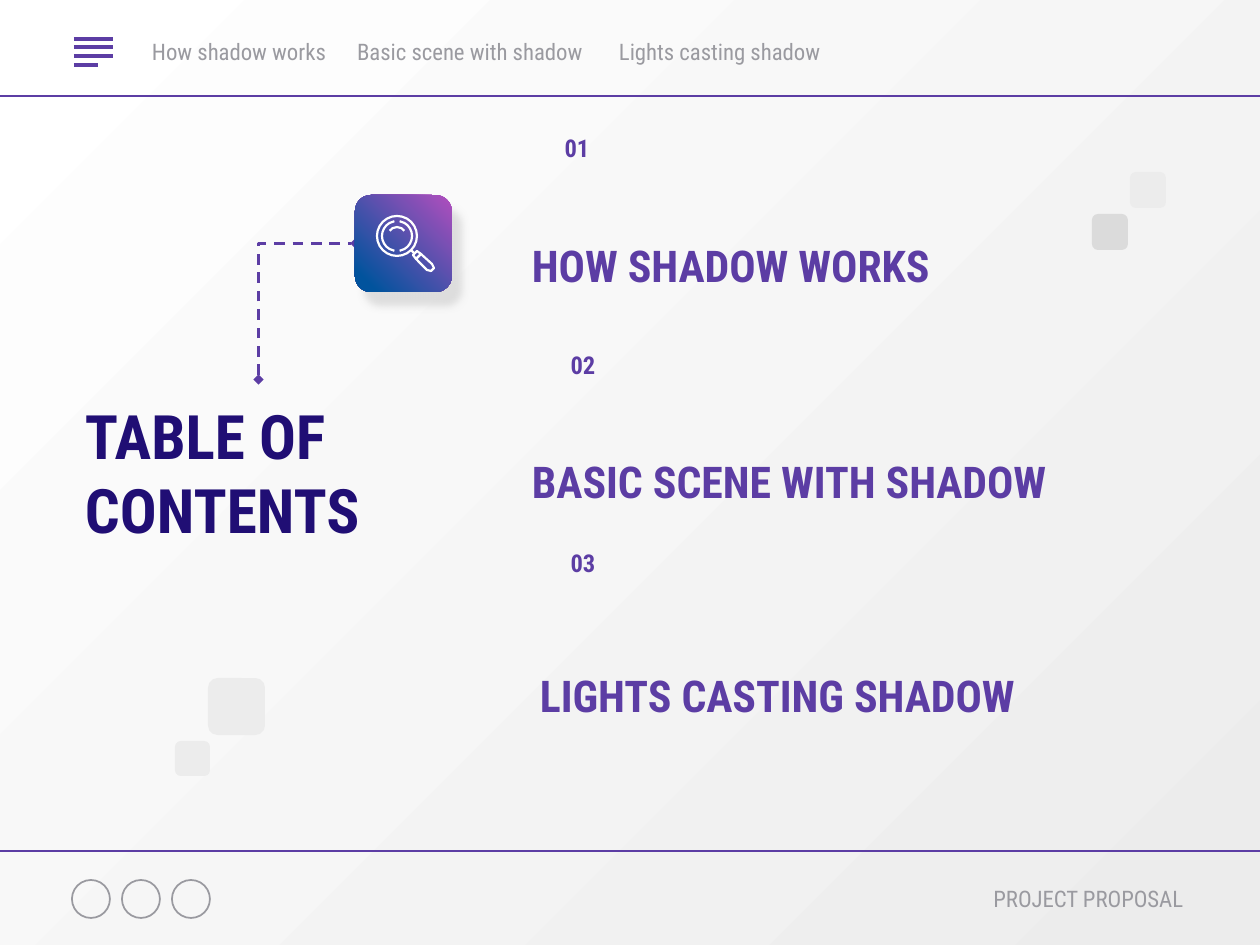
from lxml import etree
from pptx import Presentation
from pptx.dml.color import RGBColor
from pptx.enum.dml import MSO_LINE
from pptx.enum.shapes import MSO_CONNECTOR, MSO_SHAPE
from pptx.enum.text import MSO_ANCHOR, PP_ALIGN
from pptx.oxml.ns import qn
from pptx.util import Emu, Pt

SCALE = 914400 / 126
FONT = "Roboto Condensed"
COLORS = {"purple": "5C3DA4", "navy": "200E74", "grey": "9A9AA0", "white": "FFFFFF",
          "light": "ECECEC", "mid": "DBDBDB", "pink": "B24EBE", "blue": "01539D",
          "shadow": "CCCCCC"}
LEFT, CENTER, RIGHT = PP_ALIGN.LEFT, PP_ALIGN.CENTER, PP_ALIGN.RIGHT
TOP, MIDDLE = MSO_ANCHOR.TOP, MSO_ANCHOR.MIDDLE
ROUNDED, OVAL, ARC = MSO_SHAPE.ROUNDED_RECTANGLE, MSO_SHAPE.OVAL, MSO_SHAPE.ARC
STRAIGHT, ELBOW = MSO_CONNECTOR.STRAIGHT, MSO_CONNECTOR.ELBOW
DASH = MSO_LINE.DASH


def px(value):
    """Turn pixels into EMU."""
    return Emu(round(value * SCALE))


def color(name):
    """Return a named colour."""
    return RGBColor.from_string(COLORS[name])


def add_text(slide, text, box, size=13, ink="grey", bold=False, align=LEFT,
             anchor=MIDDLE, inset=13):
    """Add a text box holding one formatted paragraph."""
    shape = slide.shapes.add_textbox(*map(px, box))
    frame = shape.text_frame
    frame.word_wrap = True
    frame.vertical_anchor = anchor
    frame.margin_left = frame.margin_right = px(13)
    frame.margin_top = frame.margin_bottom = px(inset)
    paragraph = frame.paragraphs[0]
    paragraph.alignment = align
    run = paragraph.add_run()
    run.text = text
    run.font.name, run.font.size, run.font.bold = FONT, Pt(size), bold
    run.font.color.rgb = color(ink)


def style(shape, fill=None, line=None, width=1):
    """Set the fill and outline of a shape and drop its shadow."""
    shape.shadow.inherit = False
    if fill:
        shape.fill.solid()
        shape.fill.fore_color.rgb = color(fill)
    else:
        shape.fill.background()
    if line:
        shape.line.color.rgb = color(line)
        shape.line.width = Pt(width)
    else:
        shape.line.fill.background()


def add_shape(slide, kind, box, **look):
    """Add a styled preset shape."""
    shape = slide.shapes.add_shape(kind, *map(px, box))
    style(shape, **look)
    return shape


def add_line(slide, start, end, ink="purple", width=0.75, kind=STRAIGHT):
    """Add a connector without a shadow."""
    line = slide.shapes.add_connector(kind, *map(px, (*start, *end)))
    line.line.color.rgb = color(ink)
    line.line.width = Pt(width)
    etree.SubElement(line.element.spPr, qn("a:effectLst"))
    return line


def set_gradient(fill, stops, angle):
    """Give a fill a two-stop linear gradient."""
    fill.gradient()
    fill.gradient_angle = angle
    for stop, (name, position) in zip(fill.gradient_stops, stops):
        stop.color.rgb = color(name)
        stop.position = position


def add_header(slide, left, top, width, height):
    """Draw the menu icon, the navigation labels and the rule below."""
    for row in range(4):
        y = top + 39 + row * 26 // 3
        add_line(slide, (left + 74, y), (left + (98 if row == 3 else 113), y), width=2.25)
    for text, x, label_width in (("How shadow works", 139, 205),
                                 ("Basic scene with shadow", 344, 258),
                                 ("Lights casting shadow", 606, 397)):
        add_text(slide, text, (left + x, top + 24, label_width, 55))
    add_line(slide, (left, top + height), (left + width, top + height))


def add_footer(slide, left, top, width):
    """Draw the rule, three round badges and the document label."""
    add_line(slide, (left, top), (left + width, top))
    for column in range(3):
        add_shape(slide, OVAL, (left + 72 + column * 50, top + 29, 38, 38), line="grey")
    add_text(slide, "PROJECT PROPOSAL", (left + 881, top + 20, 315, 55), align=RIGHT)


def add_magnifier(slide, left, top):
    """Draw a magnifying glass around a lens centre."""
    add_shape(slide, OVAL, (left - 20, top - 20, 40, 40), line="white", width=1.25)
    for radius, start, end in ((15, 280, 80), (15, 100, 260), (9, 215, 325)):
        arc = add_shape(slide, ARC, (left - radius, top - radius, 2 * radius, 2 * radius),
                        line="white", width=1.25)
        arc.adjustments[0], arc.adjustments[1] = start * 0.6, end * 0.6
    add_line(slide, (left + 14, top + 14), (left + 18, top + 18), "white", 1.25)
    collar = ((16, 19), (20, 15), (24, 18), (19, 23))
    grip = ((19, 23), (24, 18), (35, 28), (37, 32), (34, 35), (30, 34))
    for points in (collar, grip):
        corners = [(px(left + x), px(top + y)) for x, y in points]
        builder = slide.shapes.build_freeform(*corners[0], scale=1.0)
        builder.add_line_segments(corners[1:], close=True)
        style(builder.convert_to_shape(), line="white", width=1.25)


def add_tile(slide, left, top, size):
    """Draw the gradient icon tile with its cast shadow."""
    tile = add_shape(slide, ROUNDED, (left, top, size, size))
    set_gradient(tile.fill, (("pink", 0), ("blue", 0.89)), 225)
    effects = tile.element.spPr.find(qn("a:effectLst"))
    shadow = etree.SubElement(effects, qn("a:outerShdw"), blurRad=str(Pt(4.5)),
                              dist=str(Pt(9.8)), dir=str(55 * 60000),
                              algn="bl", rotWithShape="0")
    tint = etree.SubElement(shadow, qn("a:srgbClr"), val=COLORS["shadow"])
    etree.SubElement(tint, qn("a:alpha"), val="60000")
    add_magnifier(slide, left + 42, top + 41)


def add_heading(slide, left, top):
    """Draw the slide title with the dashed elbow leading to the icon tile."""
    add_text(slide, "TABLE OF CONTENTS", (left, top, 375, 186), size=35, ink="navy", bold=True)
    elbow = add_line(slide, (left + 167, top - 116), (left + 303, top - 19),
                     width=1.5, kind=ELBOW)
    elbow.line.dash_style = DASH
    properties = elbow.element.spPr
    properties.find(qn("a:xfrm")).set("rot", str(270 * 60000))
    properties.find(qn("a:prstGeom")).set("prst", "bentConnector2")
    outline = properties.find(qn("a:ln"))
    for end in ("a:headEnd", "a:tailEnd"):
        etree.SubElement(outline, qn(end), type="diamond")
    add_tile(slide, left + 283, top - 184, 97)


def add_agenda(slide, left, top):
    """List the numbered sections."""
    for number, text, number_box, title_box in (
            ("01", "HOW SHADOW WORKS", (8, 0, 100), (0, 102, 479)),
            ("02", "BASIC SCENE WITH SHADOW", (8, 217, 112), (0, 318, 599)),
            ("03", "LIGHTS CASTING SHADOW", (8, 415, 112), (8, 532, 682))):
        x, y, width = number_box
        add_text(slide, number, (left + x, top + y, width, 89), size=14, ink="purple",
                 bold=True, align=CENTER, anchor=TOP, inset=6)
        x, y, width = title_box
        add_text(slide, text, (left + x, top + y, width, 73), size=25, ink="purple", bold=True)


def add_squares(slide, left, top, squares):
    """Scatter decorative rounded squares."""
    for x, y, size, fill in squares:
        add_shape(slide, ROUNDED, (left + x, top + y, size, size), fill=fill)


def main():
    """Build and save the contents slide."""
    presentation = Presentation()
    presentation.slide_width, presentation.slide_height = px(1260), px(945)
    slide = presentation.slides.add_slide(presentation.slide_layouts[6])
    set_gradient(slide.background.fill, (("white", 0), ("light", 1)), 315)
    add_header(slide, 0, 0, 1260, 96)
    add_footer(slide, 0, 851, 1260)
    add_heading(slide, 72, 379)
    add_agenda(slide, 519, 127)
    add_squares(slide, 1092, 172, ((0, 42, 36, "mid"), (38, 0, 36, "light")))
    add_squares(slide, 175, 678, ((33, 0, 57, "light"), (0, 63, 35, "light")))
    presentation.save("out.pptx")


main()
